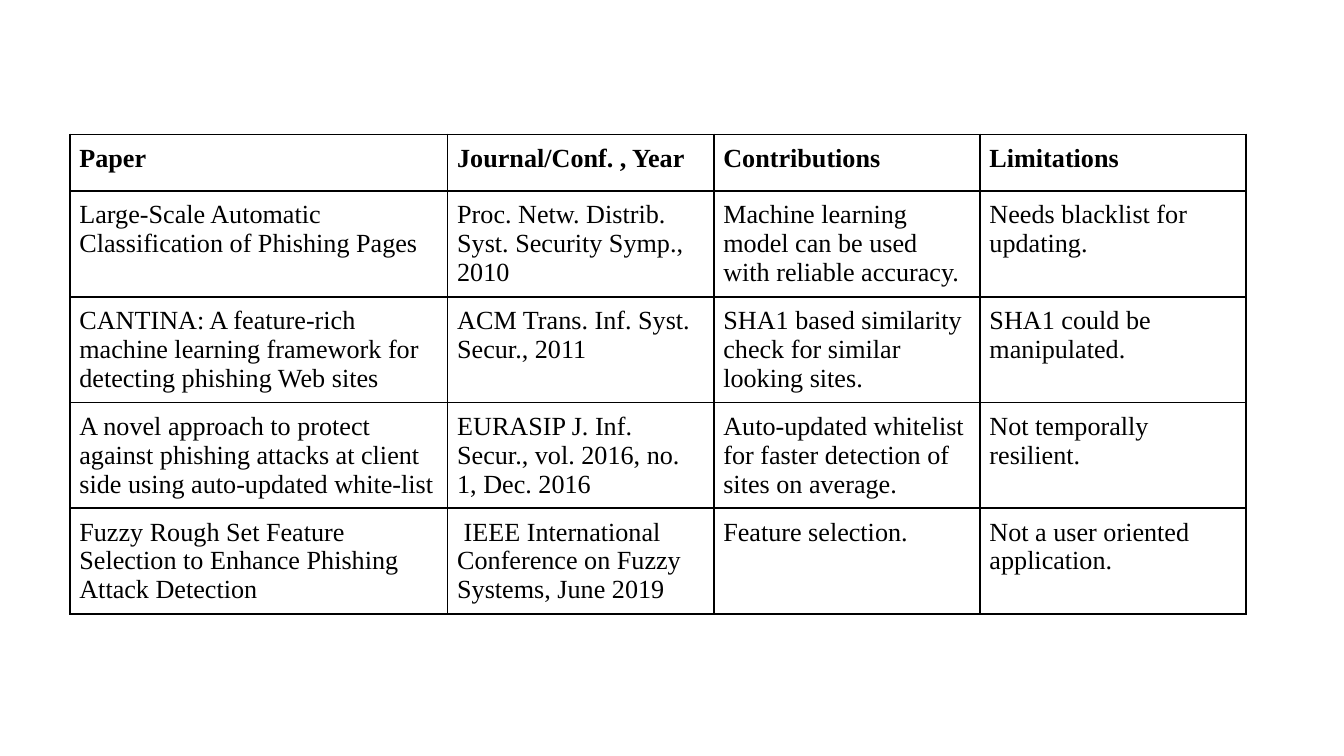
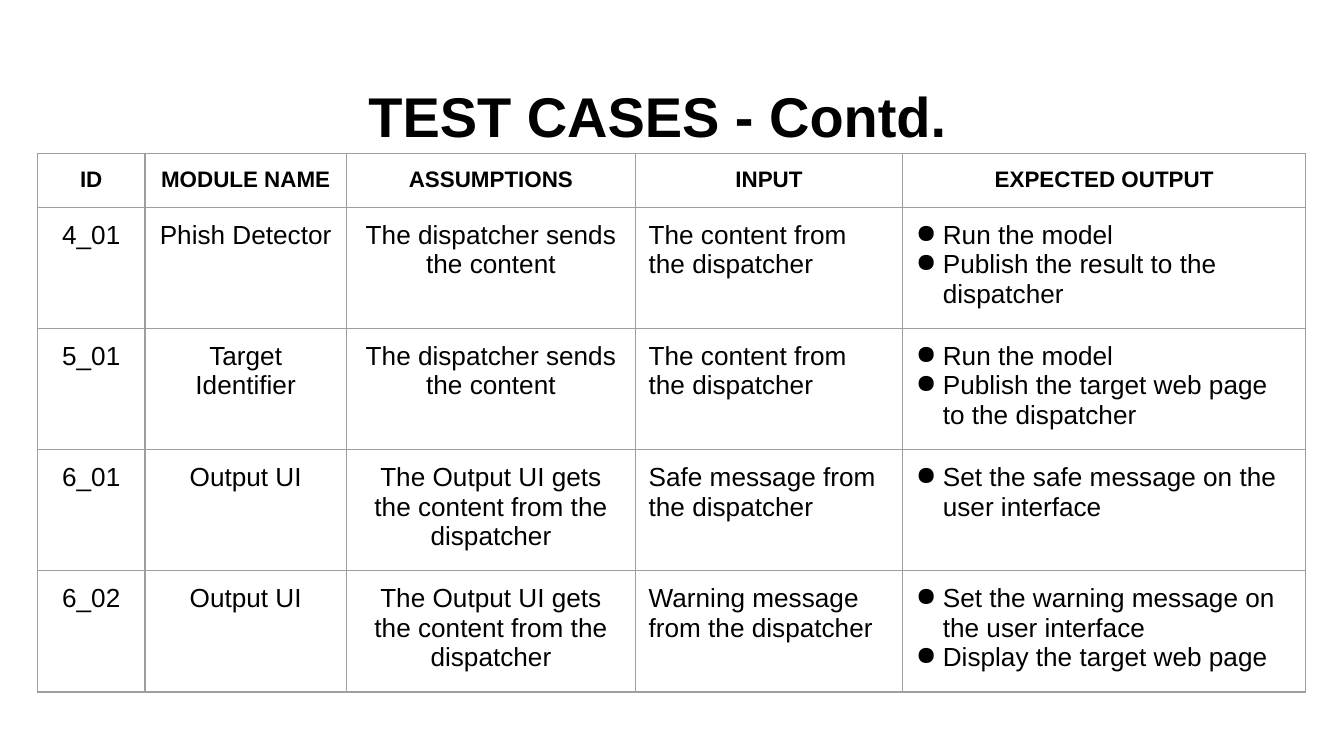
"""Build two table slides: a literature survey and the remaining test cases."""
from lxml.etree import SubElement
from pptx import Presentation
from pptx.dml.color import RGBColor
from pptx.enum.text import MSO_ANCHOR, MSO_AUTO_SIZE, PP_ALIGN
from pptx.oxml.ns import qn
from pptx.util import Cm, Pt

BLACK = RGBColor(0x00, 0x00, 0x00)
GRAY = RGBColor(0x9E, 0x9E, 0x9E)
LEFT, CENTER = PP_ALIGN.LEFT, PP_ALIGN.CENTER
SERIF, SANS = "Times New Roman", "Arial"


def write_text(frame, text, font=SANS, size=14, bold=False, align=LEFT, spacing=None):
    """Write a string as one paragraph, or a list as bulleted paragraphs."""
    bulleted = isinstance(text, list)
    for index, line in enumerate(text if bulleted else [text]):
        paragraph = frame.add_paragraph() if index else frame.paragraphs[0]
        paragraph.alignment = align
        if spacing:
            paragraph.line_spacing = spacing
        if bulleted:
            properties = paragraph._p.get_or_add_pPr()
            properties.set("marL", str(Cm(0.51)))
            properties.set("indent", str(-Cm(0.51)))
            color = SubElement(properties, qn("a:buClr"))
            SubElement(color, qn("a:srgbClr"), val=str(BLACK))
            SubElement(properties, qn("a:buChar"), char="●")
        run = paragraph.add_run()
        run.text = line
        run.font.name, run.font.size, run.font.bold = font, Pt(size), bold
        run.font.color.rgb = BLACK


def add_grid(slide, rows, left, top, widths, heights, inset, border, border_width,
             font, header_size, aligns, header_align):
    """Add a plain bordered table with a bold header row."""
    table = slide.shapes.add_table(len(rows), len(widths), Cm(left), Cm(top),
                                   Cm(sum(widths)), Cm(sum(heights))).table
    table.first_row = table.horz_banding = False
    for column, width in zip(table.columns, widths):
        column.width = Cm(width)
    for row, height in zip(table.rows, heights):
        row.height = Cm(height)
    for row_index, texts in enumerate(rows):
        header = row_index == 0
        for column_index, text in enumerate(texts):
            cell = table.cell(row_index, column_index)
            cell.margin_left = cell.margin_right = Cm(inset)
            cell.margin_top = cell.margin_bottom = Cm(inset)
            properties = cell._tc.get_or_add_tcPr()
            for side in ("a:lnL", "a:lnR", "a:lnT", "a:lnB"):
                line = SubElement(properties, qn(side), w=str(Pt(border_width)))
                fill = SubElement(line, qn("a:solidFill"))
                SubElement(fill, qn("a:srgbClr"), val=str(border))
            cell.fill.background()
            write_text(cell.text_frame, text, font=font, bold=header,
                       size=header_size if header else 14,
                       align=header_align if header else aligns[column_index])


presentation = Presentation()
presentation.slide_width, presentation.slide_height = Cm(25.4), Cm(14.29)

survey_rows = [
    ["Paper", "Journal/Conf. , Year", "Contributions", "Limitations"],
    ["Large-Scale Automatic Classification of Phishing Pages",
     "Proc. Netw. Distrib. Syst. Security Symp., 2010",
     "Machine learning model can be used with reliable accuracy.",
     "Needs blacklist for updating."],
    ["CANTINA: A feature-rich machine learning framework for detecting phishing Web sites",
     "ACM Trans. Inf. Syst. Secur., 2011",
     "SHA1 based similarity check for similar looking sites.",
     "SHA1 could be manipulated."],
    ["A novel approach to protect against phishing attacks at client side using "
     "auto-updated white-list",
     "EURASIP J. Inf. Secur., vol. 2016, no. 1, Dec. 2016",
     "Auto-updated whitelist for faster detection of sites on average.",
     "Not temporally resilient."],
    ["Fuzzy Rough Set Feature Selection to Enhance Phishing Attack Detection",
     " IEEE International Conference on Fuzzy Systems, June 2019",
     "Feature selection.",
     "Not a user oriented application."],
]
survey_slide = presentation.slides.add_slide(presentation.slide_layouts[6])
add_grid(survey_slide, survey_rows, left=1.32, top=2.54,
         widths=[7.14] + [5.03] * 3, heights=[1.07] * 5, inset=0.18,
         border=BLACK, border_width=1, font=SERIF, header_size=14,
         aligns=[LEFT] * 4, header_align=LEFT)

test_rows = [
    ["ID", "MODULE NAME", "ASSUMPTIONS", "INPUT", "EXPECTED OUTPUT"],
    ["4_01", "Phish Detector", "The dispatcher sends the content",
     "The content from the dispatcher",
     ["Run the model", "Publish the result to the dispatcher"]],
    ["5_01", "Target Identifier", "The dispatcher sends the content",
     "The content from the dispatcher",
     ["Run the model", "Publish the target web page to the dispatcher"]],
    ["6_01", "Output UI", "The Output UI gets the content from the dispatcher",
     "Safe message from the dispatcher",
     ["Set the safe message on the user interface"]],
    ["6_02", "Output UI", "The Output UI gets the content from the dispatcher",
     "Warning message from the dispatcher",
     ["Set the warning message on the user interface", "Display the target web page"]],
]
test_slide = presentation.slides.add_slide(presentation.slide_layouts[0])
subtitle = test_slide.placeholders[1].element
subtitle.getparent().remove(subtitle)
title = test_slide.shapes.title
title.left, title.top, title.width, title.height = Cm(1.32), Cm(1.24), Cm(22.22), Cm(1.83)
frame = title.text_frame
frame.word_wrap, frame.auto_size = True, MSO_AUTO_SIZE.NONE
frame.vertical_anchor = MSO_ANCHOR.BOTTOM
frame.margin_left = frame.margin_right = frame.margin_top = frame.margin_bottom = Cm(0.25)
write_text(frame, "TEST CASES - Contd.", size=30, bold=True, align=CENTER, spacing=1.15)
add_grid(test_slide, test_rows, left=0.71, top=2.9,
         widths=[2.03, 3.81, 5.46, 5.05, 7.62], heights=[1.02] + [2.29] * 4, inset=0.25,
         border=GRAY, border_width=0.75, font=SANS, header_size=12,
         aligns=[CENTER] * 3 + [LEFT] * 2, header_align=CENTER)

presentation.save("out.pptx")
